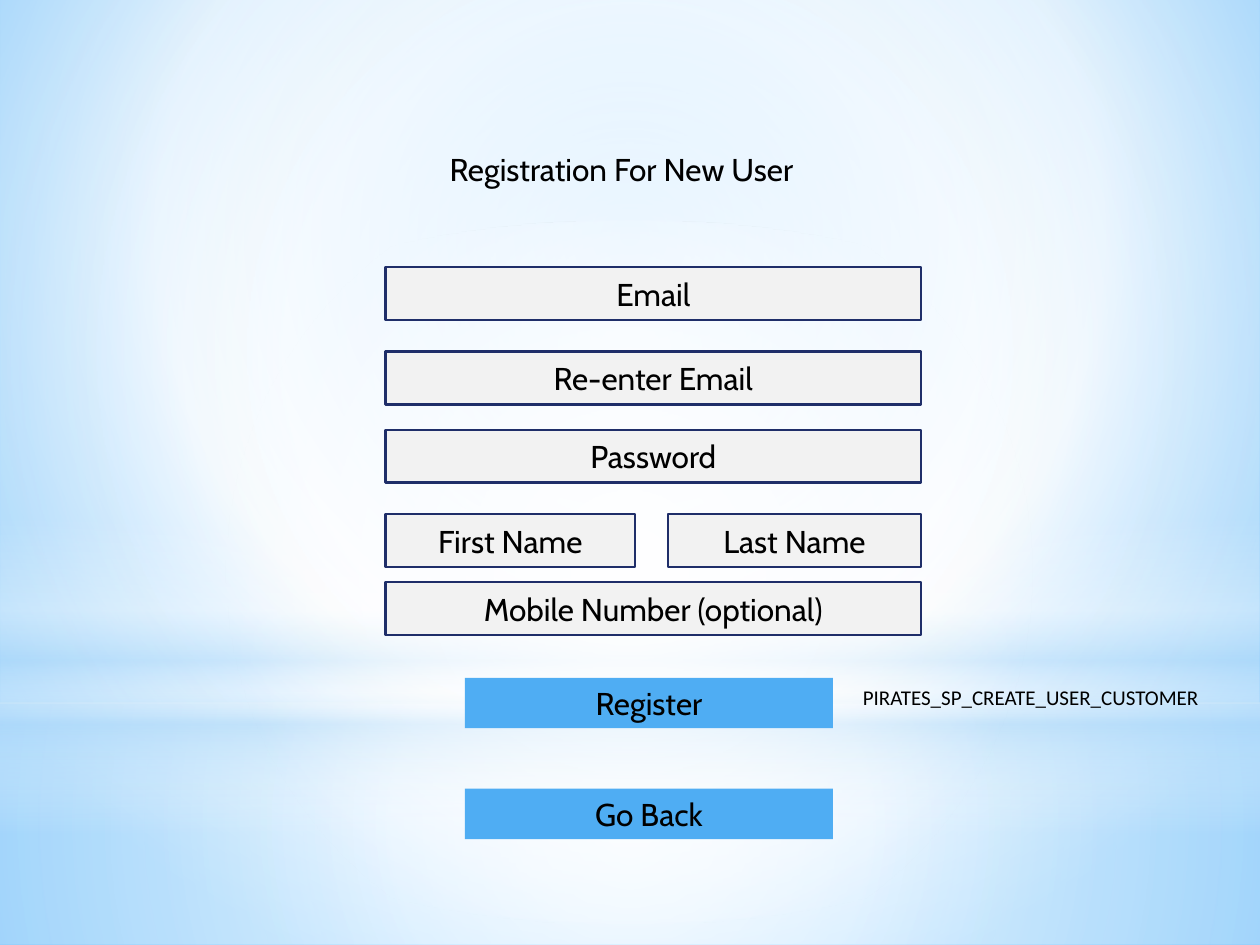
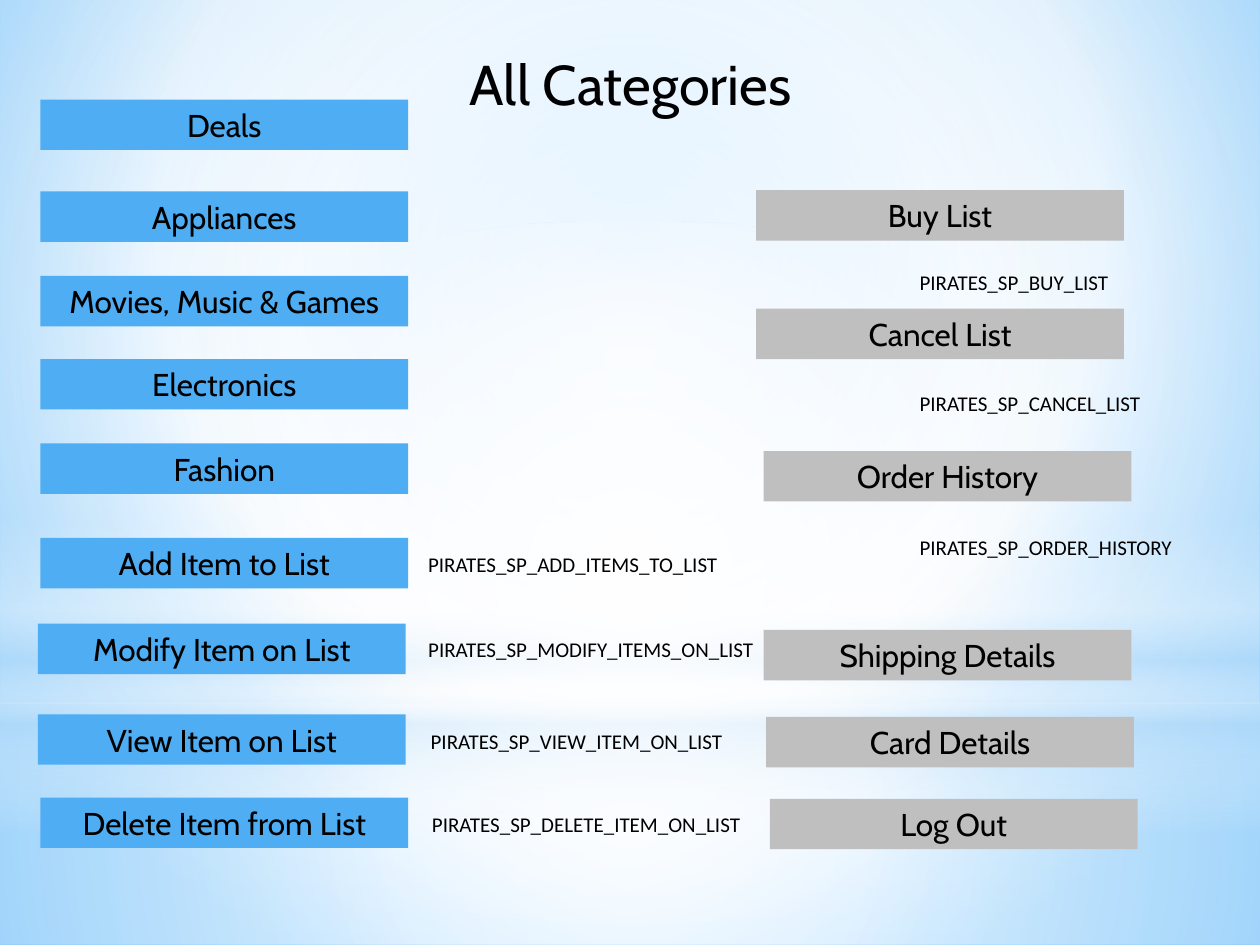
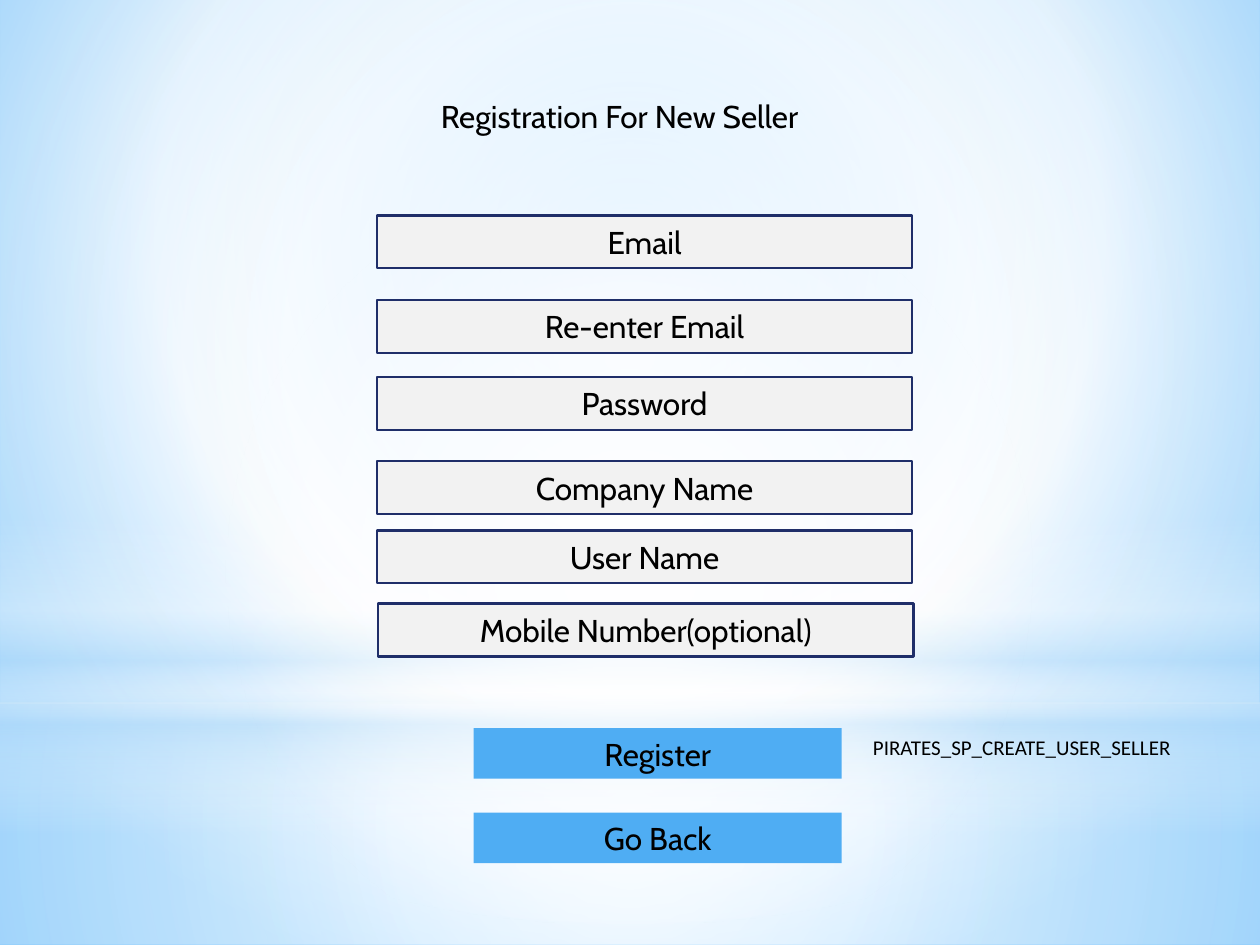
from typing import NamedTuple

from lxml.etree import SubElement
from pptx import Presentation
from pptx.dml.color import RGBColor
from pptx.dml.fill import FillFormat
from pptx.enum.shapes import MSO_SHAPE as Preset
from pptx.enum.text import MSO_ANCHOR as Anchor, MSO_AUTO_SIZE as AutoSize, PP_ALIGN as Align
from pptx.oxml.ns import qn
from pptx.oxml.xmlchemy import BaseOxmlElement as Element
from pptx.slide import Slide, SlideMaster
from pptx.util import Inches, Pt

BLACK = RGBColor(0x00, 0x00, 0x00)
WHITE = RGBColor(0xFF, 0xFF, 0xFF)
HAZE = RGBColor(0xB4, 0xDC, 0xFA)
SKY = RGBColor(0x9E, 0xD5, 0xFF)
DEEP_SKY = RGBColor(0x5B, 0xB9, 0xFF)
BLUE = RGBColor(0x4F, 0xAD, 0xF3)
GREY = RGBColor(0xBF, 0xBF, 0xBF)
PALE_GREY = RGBColor(0xF2, 0xF2, 0xF2)
NAVY = RGBColor(0x1F, 0x2E, 0x69)

HEADING_FONT = "Cabin"
PROCEDURE_FONT = "Calibri"
FIELD_WIDTH, FIELD_HEIGHT = 4.25, 0.42
BUTTON_WIDTH, BUTTON_HEIGHT = 2.92, 0.4
CENTRE = (50, 50, 50, 50)


class Stop(NamedTuple):
    position: int
    color: RGBColor
    opacity: int = 100


class Gradient(NamedTuple):
    """A circular gradient around focus (left, top, right, bottom), or a vertical one without it."""
    stops: list[Stop]
    focus: tuple[int, int, int, int] | None = CENTRE


class Glow(NamedTuple):
    preset: Preset
    top: float
    height: float
    gradient: Gradient


class Field(NamedTuple):
    text: str
    left: float
    top: float
    width: float = FIELD_WIDTH


class Button(NamedTuple):
    text: str
    left: float
    top: float
    color: RGBColor = BLUE


class Caption(NamedTuple):
    text: str
    left: float
    top: float
    width: float
    height: float = 0.3
    size: int = 12
    font: str = PROCEDURE_FONT


BACKGROUND = Gradient([Stop(0, SKY), Stop(60, WHITE), Stop(100, DEEP_SKY)], (20, 10, 20, 60))
GLOWS = [
    Glow(Preset.RECTANGLE, 5.58, 1.92,
         Gradient([Stop(0, WHITE, 91), Stop(37, WHITE, 76), Stop(100, HAZE, 79)])),
    Glow(Preset.RECTANGLE, 0, 5.58,
         Gradient([Stop(0, WHITE, 89), Stop(48, WHITE, 62), Stop(100, HAZE, 79)])),
    Glow(Preset.RECTANGLE, 4.12, 2.5,
         Gradient([Stop(0, WHITE, 0), Stop(29, WHITE, 30), Stop(45, HAZE, 40),
                   Stop(55, WHITE, 26), Stop(65, HAZE, 60), Stop(100, WHITE, 0)], None)),
    Glow(Preset.OVAL, 1.75, 5.58, Gradient([Stop(0, WHITE), Stop(56, WHITE, 0)])),
]

USER_FORM = [
    Caption("Registration For New User", 3.47, 1.14, 3.14, 0.4, 18, HEADING_FONT),
    Field("Email", 3.06, 2.12),
    Field("Re-enter Email", 3.06, 2.79),
    Field("Password", 3.06, 3.41),
    Field("First Name", 3.06, 4.08, 1.98),
    Field("Last Name", 5.3, 4.08, 2.01),
    Field("Mobile Number (optional)", 3.06, 4.62),
    Button("Register", 3.69, 5.38),
    Button("Go Back", 3.69, 6.26),
    Caption("PIRATES_SP_CREATE_USER_CUSTOMER", 6.75, 5.38, 2.9),
]
CATEGORIES = [
    Caption("All Categories", 3.63, 0.34, 2.99, 0.64, 32, HEADING_FONT),
    Button("Deals", 0.32, 0.79),
    Button("Appliances", 0.32, 1.52),
    Button("Movies, Music & Games", 0.32, 2.19),
    Button("Electronics", 0.32, 2.85),
    Button("Fashion", 0.32, 3.52),
    Button("Add Item to List", 0.32, 4.27),
    Caption("PIRATES_SP_ADD_ITEMS_TO_LIST", 3.3, 4.33, 2.53),
    Button("Modify Item on List", 0.3, 4.95),
    Caption("PIRATES_SP_MODIFY_ITEMS_ON_LIST", 3.3, 5, 2.81),
    Button("View Item on List", 0.3, 5.67),
    Caption("PIRATES_SP_VIEW_ITEM_ON_LIST", 3.32, 5.73, 2.54),
    Button("Delete Item from List", 0.32, 6.33),
    Caption("PIRATES_SP_DELETE_ITEM_ON_LIST", 3.33, 6.39, 2.68),
    Button("Buy List", 6, 1.51, GREY),
    Caption("PIRATES_SP_BUY_LIST", 7.2, 2.09, 1.72),
    Button("Cancel List", 6, 2.45, GREY),
    Caption("PIRATES_SP_CANCEL_LIST", 7.2, 3.05, 1.97),
    Button("Order History", 6.06, 3.58, GREY),
    Caption("PIRATES_SP_ORDER_HISTORY", 7.2, 4.19, 2.23),
    Button("Shipping Details", 6.06, 5, GREY),
    Button("Card Details", 6.08, 5.69, GREY),
    Button("Log Out", 6.11, 6.34, GREY),
]
SELLER_FORM = [
    Caption("Registration For New Seller", 3.4, 0.72, 3.28, 0.4, 18, HEADING_FONT),
    Field("Email", 2.99, 1.71),
    Field("Re-enter Email", 2.99, 2.38),
    Field("Password", 2.99, 2.99),
    Field("Company Name", 2.99, 3.66),
    Field("User Name", 2.99, 4.21),
    Field("Mobile Number(optional)", 3, 4.79),
    Button("Register", 3.76, 5.78),
    Button("Go Back", 3.76, 6.45),
    Caption("PIRATES_SP_CREATE_USER_SELLER", 6.83, 5.78, 2.59),
]


def apply_gradient(fill: FillFormat, owner: Element, gradient: Gradient) -> None:
    """Replace the default gradient of fill, found inside owner, by the given one."""
    fill.gradient()
    grad_fill = next(owner.iter(qn("a:gradFill")))
    for part in list(grad_fill):
        grad_fill.remove(part)
    stop_list = SubElement(grad_fill, qn("a:gsLst"))
    for stop in gradient.stops:
        mark = SubElement(stop_list, qn("a:gs"), pos=str(stop.position * 1000))
        color = SubElement(mark, qn("a:srgbClr"), val=str(stop.color))
        if stop.opacity < 100:
            SubElement(color, qn("a:alpha"), val=str(stop.opacity * 1000))
    if gradient.focus is None:
        SubElement(grad_fill, qn("a:lin"), ang=str(90 * 60000), scaled="0")
    else:
        circle = SubElement(grad_fill, qn("a:path"), path="circle")
        edges = {side: str(share * 1000) for side, share in zip("ltrb", gradient.focus)}
        SubElement(circle, qn("a:fillToRect"), edges)


def build_backdrop(master: SlideMaster, workbench: Slide) -> None:
    """Draw the glows on workbench and move them to the master, behind every slide."""
    apply_gradient(master.background.fill, master.element, BACKGROUND)
    for glow in GLOWS:
        shape = workbench.shapes.add_shape(
            glow.preset, 0, Inches(glow.top), Inches(10), Inches(glow.height))
        shape.shadow.inherit = False
        shape.line.fill.background()
        apply_gradient(shape.fill, shape.element, glow.gradient)
        master.shapes.element.append(shape.element)


def add_caption(slide: Slide, caption: Caption) -> None:
    box = slide.shapes.add_textbox(Inches(caption.left), Inches(caption.top),
                                   Inches(caption.width), Inches(caption.height))
    frame = box.text_frame
    frame.word_wrap = False
    frame.auto_size = AutoSize.SHAPE_TO_FIT_TEXT
    frame.text = caption.text
    font = frame.paragraphs[0].font
    font.name, font.size, font.color.rgb = caption.font, Pt(caption.size), BLACK


def add_control(slide: Slide, control: Field | Button) -> None:
    is_field = isinstance(control, Field)
    width = control.width if is_field else BUTTON_WIDTH
    height = FIELD_HEIGHT if is_field else BUTTON_HEIGHT
    shape = slide.shapes.add_shape(Preset.RECTANGLE, Inches(control.left), Inches(control.top),
                                   Inches(width), Inches(height))
    shape.shadow.inherit = False
    shape.fill.solid()
    shape.fill.fore_color.rgb = PALE_GREY if is_field else control.color
    frame = shape.text_frame
    if is_field:
        shape.line.color.rgb = NAVY
        shape.line.width = Pt(1.25)
    else:
        shape.line.fill.background()
        frame.auto_size = AutoSize.SHAPE_TO_FIT_TEXT
    frame.word_wrap = True
    frame.vertical_anchor = Anchor.MIDDLE
    frame.text = control.text
    paragraph = frame.paragraphs[0]
    paragraph.alignment = Align.CENTER
    font = paragraph.font
    font.name, font.size, font.color.rgb = HEADING_FONT, Pt(18), BLACK


def main() -> None:
    prs = Presentation()
    prs.slide_width, prs.slide_height = Inches(10), Inches(7.5)
    screens = [USER_FORM, CATEGORIES, SELLER_FORM]
    slides = [prs.slides.add_slide(prs.slide_layouts[6]) for _ in screens]
    build_backdrop(prs.slide_master, slides[0])
    for slide, screen in zip(slides, screens):
        for item in screen:
            if isinstance(item, Caption):
                add_caption(slide, item)
            else:
                add_control(slide, item)
    prs.save("out.pptx")


if __name__ == "__main__":
    main()
